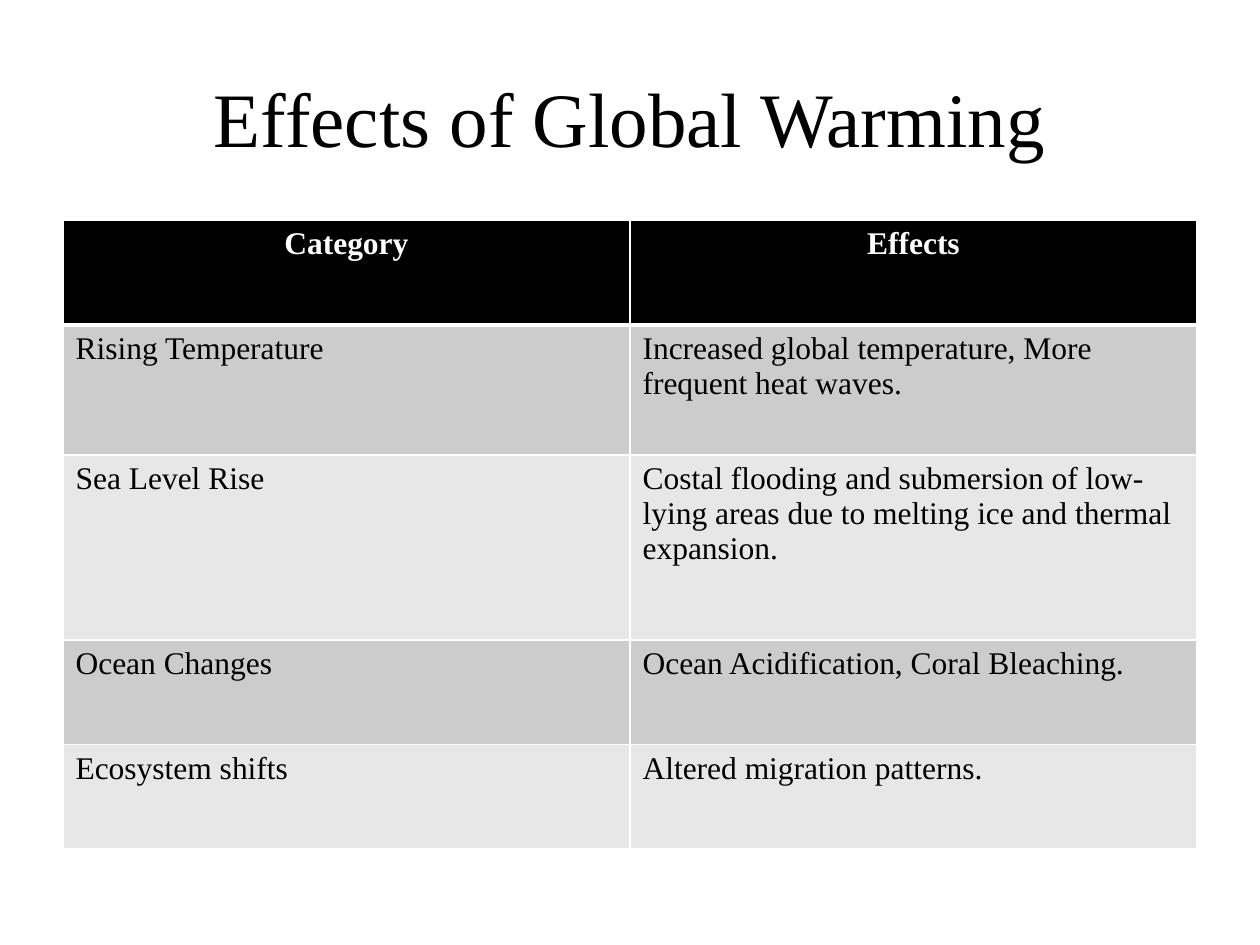
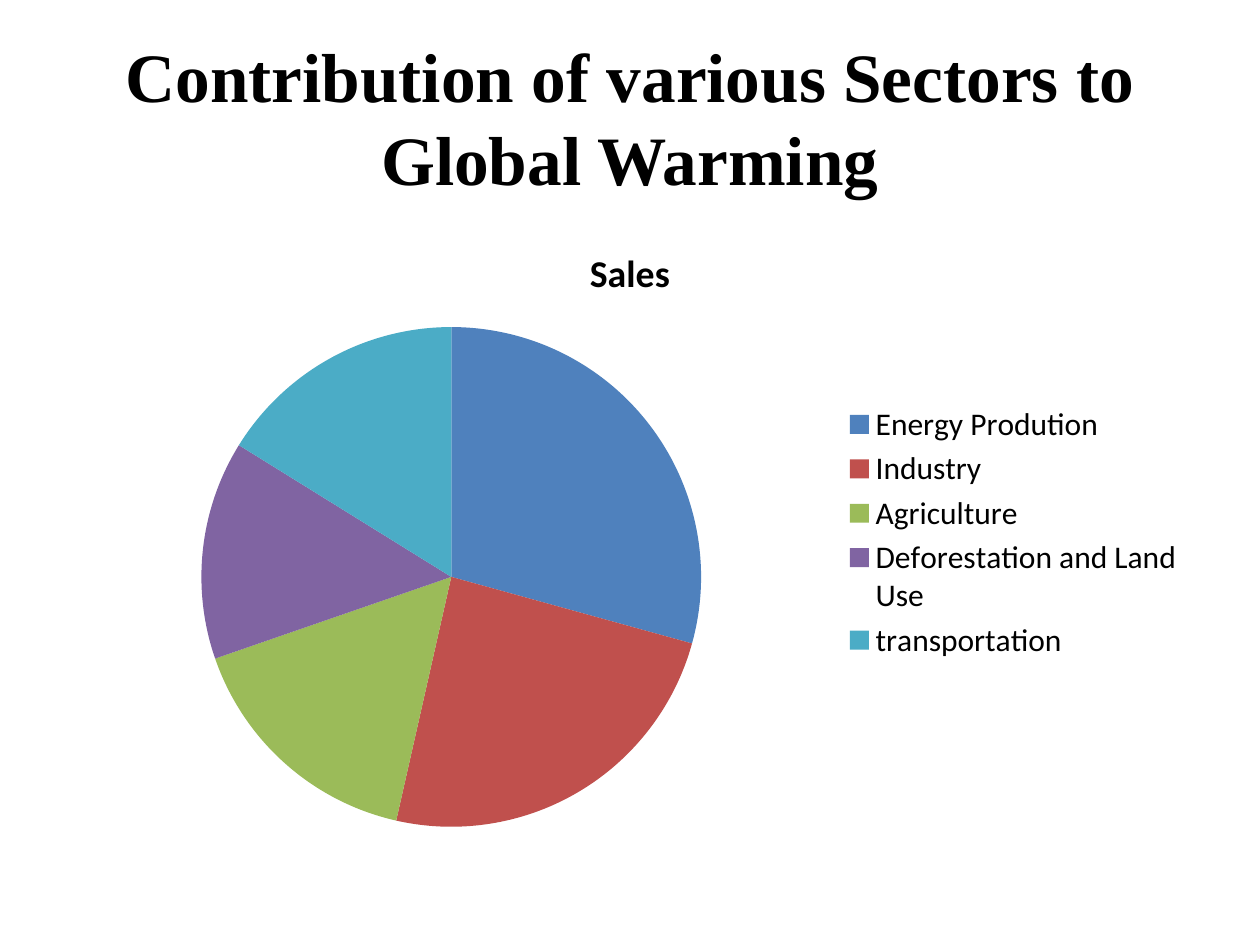
"""Build two slides on global warming: a table of effects and a pie of sectors."""
from dataclasses import dataclass

from lxml.etree import SubElement
from pptx import Presentation
from pptx.chart.data import CategoryChartData as ChartData
from pptx.dml.color import RGBColor
from pptx.enum.chart import XL_CHART_TYPE as ChartType, XL_LEGEND_POSITION as LegendPosition
from pptx.enum.text import MSO_ANCHOR as Anchor, PP_ALIGN as Align
from pptx.oxml.ns import qn
from pptx.slide import Slide
from pptx.table import _Cell as Cell
from pptx.util import Inches, Pt

COLORS = {
    "text": "000000", "header": "000000", "white": "FFFFFF",
    "odd_row": "CCCCCC", "even_row": "E7E7E7",
}
SERIF, SANS = "Times New Roman", "Calibri"
LEFT, WIDTH = Inches(0.5), Inches(9)
TITLE_TOP, TITLE_HEIGHT = Inches(0.3), Inches(1.25)
CONTENT_TOP = Inches(1.75)


@dataclass(frozen=True)
class EffectRow:
    category: str
    effects: str
    height: float


@dataclass(frozen=True)
class Sector:
    name: str
    share: int
    color: str


EFFECT_ROWS = [
    EffectRow("Category", "Effects", 0.83),
    EffectRow("Rising Temperature",
              "Increased global temperature, More frequent heat waves.", 1.03),
    EffectRow("Sea Level Rise",
              "Costal flooding and submersion of low-lying areas due to melting ice "
              "and thermal expansion.", 1.47),
    EffectRow("Ocean Changes", "Ocean Acidification, Coral Bleaching.", 0.83),
    EffectRow("Ecosystem shifts", "Altered migration patterns.", 0.83),
]
SECTORS = [
    Sector("Energy Prodution", 29, "4F81BD"),
    Sector("Industry", 24, "C0504D"),
    Sector("Agriculture", 16, "9BBB59"),
    Sector("Deforestation and Land Use", 14, "8064A2"),
    Sector("transportation", 16, "4BACC6"),
]


def style_font(font, name: str, size: float, color: str, bold: bool = False) -> None:
    """Apply typeface, size, colour and weight."""
    font.name, font.size, font.bold = name, Pt(size), bold
    font.color.rgb = RGBColor.from_string(COLORS[color])


def add_title(slide: Slide, text: str, size: float, bold: bool = False) -> None:
    """Add the centred title shared by both slides."""
    frame = slide.shapes.add_textbox(LEFT, TITLE_TOP, WIDTH, TITLE_HEIGHT).text_frame
    frame.word_wrap = True
    frame.vertical_anchor = Anchor.MIDDLE
    paragraph = frame.paragraphs[0]
    paragraph.text = text
    paragraph.alignment = Align.CENTER
    style_font(paragraph.font, SERIF, size, "text", bold)


def add_borders(cell: Cell, widths: dict[str, int]) -> None:
    """Draw white cell borders of the given widths in points."""
    properties = cell._tc.get_or_add_tcPr()
    for index, (side, width) in enumerate(widths.items()):
        line = SubElement(properties, qn(f"a:ln{side}"), w=str(Pt(width)))
        fill = SubElement(line, qn("a:solidFill"))
        SubElement(fill, qn("a:srgbClr"), val=COLORS["white"])
        properties.insert(index, line)


def add_effects_table(slide: Slide) -> None:
    """Add the banded table of categories and effects."""
    height = Inches(sum(row.height for row in EFFECT_ROWS))
    table = slide.shapes.add_table(
        len(EFFECT_ROWS), 2, LEFT, CONTENT_TOP, WIDTH, height).table
    for index, row in enumerate(EFFECT_ROWS):
        table.rows[index].height = Inches(row.height)
        is_header = index == 0
        band = "header" if is_header else "odd_row" if index % 2 else "even_row"
        borders = {"L": 1, "R": 1, "T": 3 if index == 1 else 1, "B": 3 if is_header else 1}
        for column, text in enumerate((row.category, row.effects)):
            cell = table.cell(index, column)
            cell.text = text
            cell.fill.solid()
            cell.fill.fore_color.rgb = RGBColor.from_string(COLORS[band])
            add_borders(cell, borders)
            paragraph = cell.text_frame.paragraphs[0]
            paragraph.alignment = Align.CENTER if is_header else Align.LEFT
            style_font(paragraph.font, SERIF, 18, "white" if is_header else "text", is_header)


def add_sector_pie(slide: Slide) -> None:
    """Add the pie chart of sector contributions."""
    data = ChartData()
    data.categories = [sector.name for sector in SECTORS]
    data.add_series("Sales", [sector.share for sector in SECTORS])
    chart = slide.shapes.add_chart(
        ChartType.PIE, LEFT, CONTENT_TOP, WIDTH, Inches(4.95), data).chart
    style_font(chart.font, SANS, 18, "text")
    chart.has_title = True
    title = chart.chart_title.text_frame.paragraphs[0]
    title.text = "Sales"
    style_font(title.font, SANS, 21.6, "text", True)
    chart.has_legend = True
    chart.legend.position = LegendPosition.RIGHT
    chart.legend.include_in_layout = False
    plot = chart.plots[0]
    plot.vary_by_categories = True
    for index, sector in enumerate(SECTORS):
        fill = plot.series[0].points[index].format.fill
        fill.solid()
        fill.fore_color.rgb = RGBColor.from_string(sector.color)


def main() -> None:
    """Build and save the presentation."""
    presentation = Presentation()
    presentation.slide_width, presentation.slide_height = Inches(10), Inches(7.5)
    blank = presentation.slide_layouts[6]

    effects_slide = presentation.slides.add_slide(blank)
    add_title(effects_slide, "Effects of Global Warming", 44)
    add_effects_table(effects_slide)

    sectors_slide = presentation.slides.add_slide(blank)
    add_title(sectors_slide, "Contribution of various Sectors to Global Warming", 39.6, True)
    add_sector_pie(sectors_slide)

    presentation.save("out.pptx")


if __name__ == "__main__":
    main()
